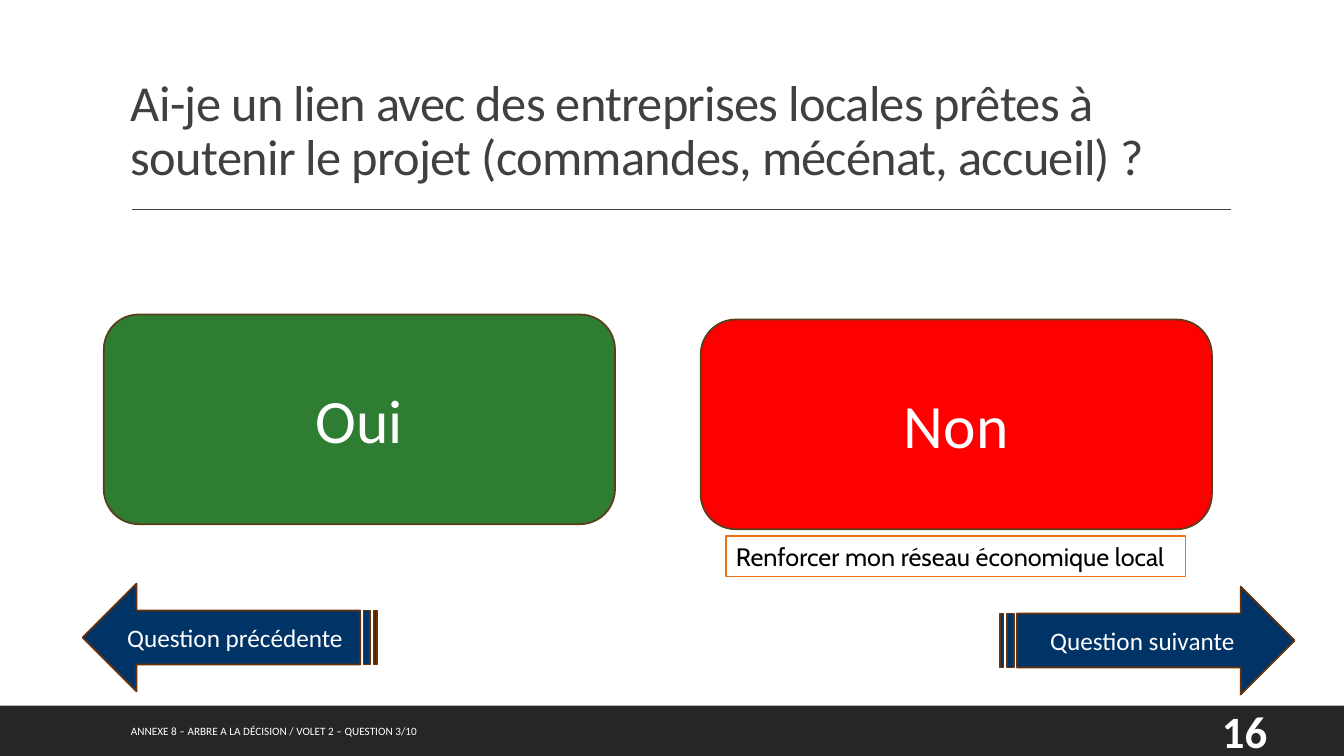
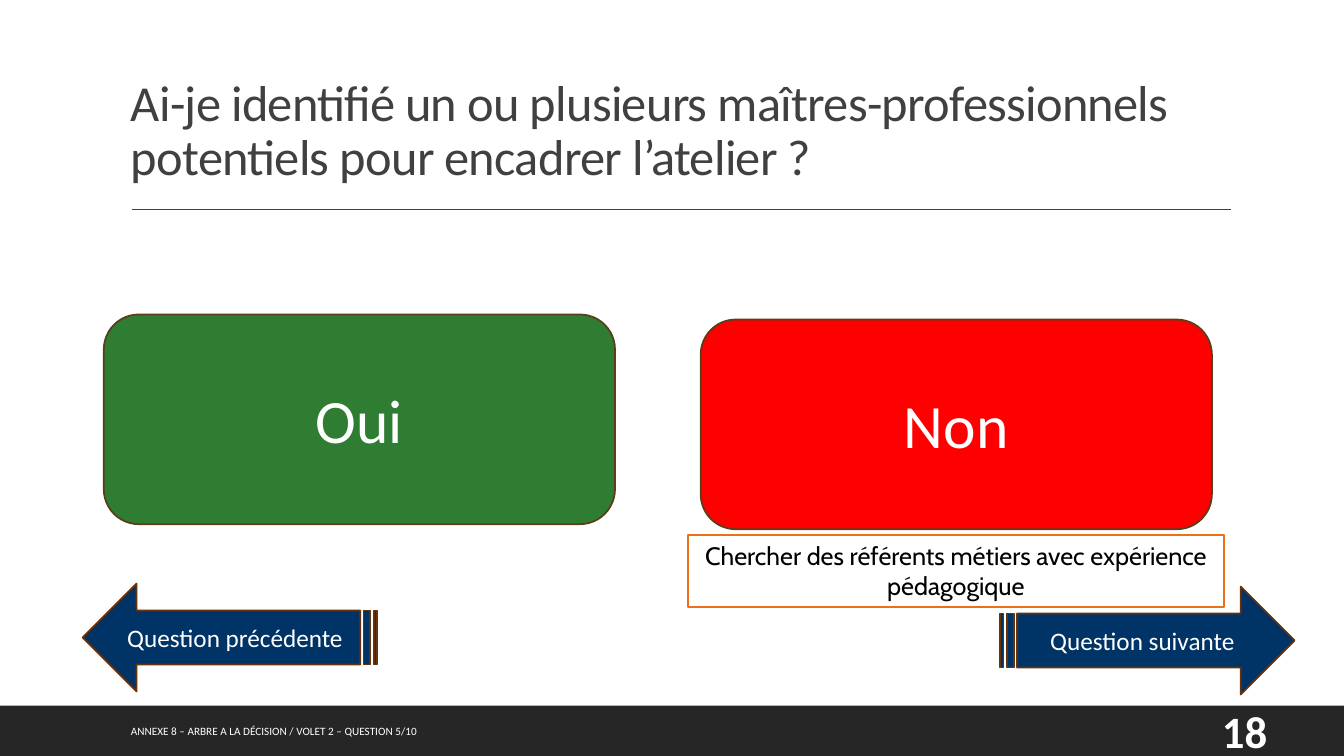
import pptx
import pptx.util
import pptx.dml.color
import pptx.enum.shapes
import pptx.enum.text

Inches = pptx.util.Inches
Pt = pptx.util.Pt
RGB = pptx.dml.color.RGBColor.from_string
KIND = pptx.enum.shapes.MSO_SHAPE
ALIGN = pptx.enum.text.PP_ALIGN
ANCHOR = pptx.enum.text.MSO_ANCHOR

COLORS = {
    "white": "FFFFFF", "black": "000000", "band": "262626", "title": "404040",
    "yes": "2E7D32", "no": "FF0000", "edge": "5A3E1B",
    "arrow": "003366", "rim": "67310A", "note": "EC7016",
}

# label, left, top, fill
ANSWERS = [("Oui", 1.03, 3.12, "yes"), ("Non", 6.95, 3.17, "no")]
# label, left, top, flipped
ARROWS = [
    ("Question suivante", 9.92, 5.82, False),
    ("Question précédente", 0.82, 5.79, True),
]
SLIDES = [
    {
        "title": "Ai-je un lien avec des entreprises locales prêtes à "
                 "soutenir le projet (commandes, mécénat, accueil) ?",
        "note": "Renforcer mon réseau économique local",
        "box": (7.2, 5.32, 4.56, 0.4),
        "wrap": False,
        "align": ALIGN.LEFT,
        "step": 3,
        "page": 16,
    },
    {
        "title": "Ai-je identifié un ou plusieurs maîtres-professionnels "
                 "potentiels pour encadrer l’atelier ?",
        "note": "Chercher des référents métiers avec expérience pédagogique",
        "box": (6.82, 5.31, 5.32, 0.71),
        "wrap": True,
        "align": ALIGN.CENTER,
        "step": 5,
        "page": 18,
    },
]


def draw(slide, kind, box, fill, line=None):
    """Add a filled preset shape; without a line colour it has no outline."""
    shape = slide.shapes.add_shape(kind, *map(Inches, box))
    shape.shadow.inherit = False
    shape.fill.solid()
    shape.fill.fore_color.rgb = RGB(COLORS[fill])
    if line:
        shape.line.color.rgb = RGB(COLORS[line])
        shape.line.width = Pt(1.25)
    else:
        shape.line.fill.background()
    return shape


def write(shape, text, size, color="white", align=ALIGN.CENTER,
          anchor=ANCHOR.MIDDLE, face="Calibri"):
    """Fill a shape with one styled paragraph and return the paragraph."""
    frame = shape.text_frame
    frame.word_wrap = True
    frame.vertical_anchor = anchor
    para = frame.paragraphs[0]
    para.text = text
    para.alignment = align
    para.font.name = face
    para.font.size = Pt(size)
    para.font.color.rgb = RGB(COLORS[color])
    return para


deck = pptx.Presentation()
deck.slide_width = Inches(13.33)
deck.slide_height = Inches(7.5)

for page in SLIDES:
    slide = deck.slides.add_slide(deck.slide_layouts[6])

    # Band and title rule
    draw(slide, KIND.RECTANGLE, (0, 7, 13.33, 0.5), "band")
    rule = slide.shapes.add_connector(
        pptx.enum.shapes.MSO_CONNECTOR.STRAIGHT,
        Inches(1.31), Inches(2.08), Inches(12.21), Inches(2.08))
    rule.line.color.rgb = RGB(COLORS["title"])
    rule.line.width = Pt(1)
    rule.element.spPr.append(pptx.oxml.parse_xml(
        '<a:effectLst xmlns:a="http://schemas.openxmlformats.org/drawingml/2006/main"/>'))

    # Title
    title = slide.shapes.add_textbox(*map(Inches, (1.2, 0.31, 11, 1.59)))
    para = write(title, page["title"], 36, "title", ALIGN.LEFT, ANCHOR.BOTTOM)
    para.line_spacing = 0.9
    for props in title.element.xpath(".//a:defRPr"):
        props.set("spc", "-50")

    # Advice under the "Non" answer
    note = draw(slide, KIND.RECTANGLE, page["box"], "white", "note")
    write(note, page["note"], 18, "black", page["align"], ANCHOR.TOP, "Cabin")
    note.text_frame.word_wrap = page["wrap"]
    note.text_frame.auto_size = pptx.enum.text.MSO_AUTO_SIZE.SHAPE_TO_FIT_TEXT

    # Answers
    for label, left, top, fill in ANSWERS:
        answer = draw(slide, KIND.ROUNDED_RECTANGLE,
                      (left, top, 5.07, 2.08), fill, "edge")
        write(answer, label, 44)

    # Navigation arrows
    for label, left, top, flip in ARROWS:
        arrow = draw(slide, KIND.STRIPED_RIGHT_ARROW,
                     (left, top, 2.92, 1.07), "arrow", "rim")
        write(arrow, label, 18)
        if flip:
            arrow.element.spPr.xfrm.set("flipH", "1")

    # Footer and page number
    foot = slide.shapes.add_textbox(*map(Inches, (1.2, 7.05, 7.46, 0.4)))
    write(foot, f"ANNEXE 8 – ARBRE A LA DÉCISION / VOLET 2 – QUESTION {page['step']}/10",
          8, align=ALIGN.JUSTIFY)
    folio = slide.shapes.add_textbox(*map(Inches, (12.02, 7.05, 0.85, 0.4)))
    write(folio, str(page["page"]), 32, align=ALIGN.LEFT).font.bold = True

deck.save("out.pptx")
